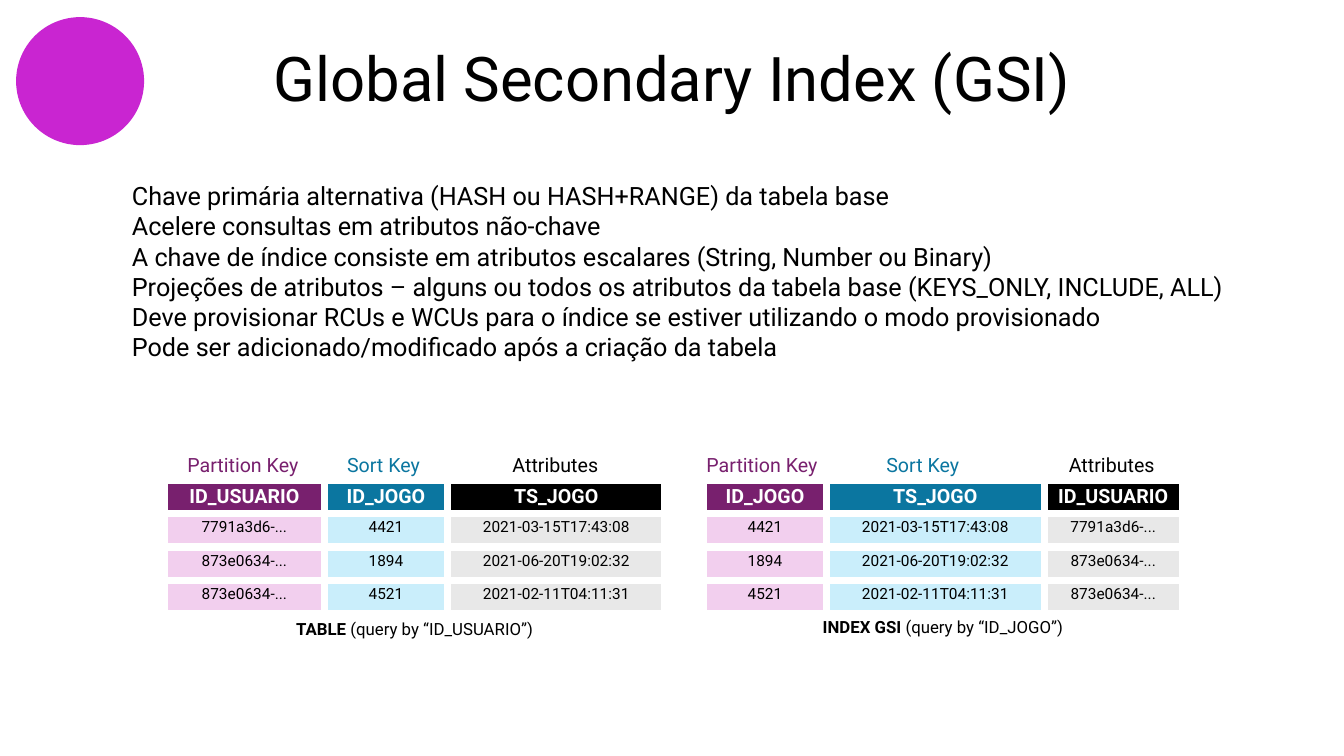
from dataclasses import dataclass

from lxml.etree import SubElement
from pptx import Presentation
from pptx.dml.color import RGBColor as Rgb
from pptx.enum.shapes import MSO_SHAPE as Shape
from pptx.enum.text import MSO_ANCHOR as Anchor
from pptx.enum.text import MSO_AUTO_SIZE as Fit
from pptx.enum.text import PP_ALIGN as Align
from pptx.oxml.ns import qn
from pptx.util import Inches, Pt


@dataclass(frozen=True)
class Theme:
    font: str = "Roboto"
    ink: str = "000000"
    paper: str = "FFFFFF"
    badge: str = "C925D1"
    heads: tuple = ("78206E", "0B76A0", "000000")
    tints: tuple = ("F2CFEE", "CAEEFB", "E8E8E8")
    title: int = 44
    body: int = 18
    label: int = 14
    note: int = 12
    cell: int = 11
    rule: int = 6


LOOK = Theme()

# The slide is a grid of 40 columns by 22.5 rows of square units
COLS, ROWS = 40, 22.5
WIDE, HIGH = Inches(40 / 3), Inches(7.5)

POINTS = (
    "Chave primária alternativa (HASH ou HASH+RANGE) da tabela base",
    "Acelere consultas em atributos não-chave",
    "A chave de índice consiste em atributos escalares (String, Number ou Binary)",
    "Projeções de atributos – alguns ou todos os atributos da tabela base "
    "(KEYS_ONLY, INCLUDE, ALL)",
    "Deve provisionar RCUs e WCUs para o índice se estiver utilizando o modo provisionado",
    "Pode ser adicionado/modificado após a criação da tabela",
)
ROLES = ("Partition Key", "Sort Key", "Attributes")

# Each field: column width, then its name and values
FIELDS = {
    "user": (("ID_USUARIO", "7791a3d6-...", "873e0634-...", "873e0634-..."), 4.77),
    "game": (("ID_JOGO", "4421", "1894", "4521"), 3.66),
    "time": (("TS_JOGO", "2021-03-15T17:43:08", "2021-06-20T19:02:32",
              "2021-02-11T04:11:31"), 6.48),
}


def place(x, y, w, h):
    """Turn grid units into slide lengths."""
    return (int(x * WIDE / COLS), int(y * HIGH / ROWS),
            int(w * WIDE / COLS), int(h * HIGH / ROWS))


def write(para, text, size, color=LOOK.ink, bold=False):
    run = para.add_run()
    run.text = text
    font = run.font
    font.name, font.size, font.bold = LOOK.font, Pt(size), bold
    font.color.rgb = Rgb.from_string(color)


def add_text(slide, box, lines, size, color=LOOK.ink, align=Align.CENTER):
    """Each line is a list of (text, bold) runs."""
    frame = slide.shapes.add_textbox(*place(*box)).text_frame
    frame.word_wrap = True
    frame.auto_size = Fit.SHAPE_TO_FIT_TEXT
    for i, line in enumerate(lines):
        para = frame.add_paragraph() if i else frame.paragraphs[0]
        para.alignment = align
        for text, bold in line:
            write(para, text, size, color, bold)
    return frame


def add_title(slide, text):
    frame = add_text(slide, (2.76, 0.24, 34.5, 4.35), [[(text, False)]], LOOK.title)
    frame.auto_size = Fit.NONE
    frame.vertical_anchor = Anchor.MIDDLE
    frame.paragraphs[0].line_spacing = 0.9


def add_badge(slide):
    disc = slide.shapes.add_shape(Shape.OVAL, *place(0.48, 0.51, 3.81, 3.81))
    disc.shadow.inherit = False
    disc.fill.solid()
    disc.fill.fore_color.rgb = Rgb.from_string(LOOK.badge)
    disc.line.fill.background()


def paint(cell, color):
    """Draw the white borders, then the fill."""
    props = cell._tc.get_or_add_tcPr()
    for side in ("a:lnL", "a:lnR", "a:lnT", "a:lnB"):
        line = SubElement(props, qn(side), w=str(Pt(LOOK.rule)))
        fill = SubElement(line, qn("a:solidFill"))
        SubElement(fill, qn("a:srgbClr"), val=LOOK.paper)
    cell.fill.solid()
    cell.fill.fore_color.rgb = Rgb.from_string(color)


def add_grid(slide, x, y, names, widths):
    fields = [FIELDS[name][0] for name in names]
    count = len(fields[0])
    box = place(x, y, sum(widths), count)
    table = slide.shapes.add_table(count, len(names), *box).table
    table.first_row = table.horz_banding = False
    for c, (field, width) in enumerate(zip(fields, widths)):
        table.columns[c].width = place(0, 0, width, 0)[2]
        for r, text in enumerate(field):
            cell, head = table.cell(r, c), r == 0
            paint(cell, (LOOK.heads if head else LOOK.tints)[c])
            para = cell.text_frame.paragraphs[0]
            para.alignment = Align.CENTER
            write(para, text, LOOK.label if head else LOOK.cell,
                  LOOK.paper if head else LOOK.ink, head)


def add_panel(slide, x, names, spans, note, foot, widths=None):
    """A table with role labels above and a caption below."""
    widths = widths or [FIELDS[name][1] for name in names]
    add_grid(slide, x, 14.28, names, widths)
    for role, color, (left, width) in zip(ROLES, LOOK.heads, spans):
        add_text(slide, (left, 13.32, width, 1.02), [[(role, False)]],
                 LOOK.label, color)
    add_text(slide, foot, [note], LOOK.note)


def main():
    deck = Presentation()
    deck.slide_width, deck.slide_height = WIDE, HIGH
    slide = deck.slides.add_slide(deck.slide_layouts[6])

    # Heading and key points
    add_title(slide, "Global Secondary Index (GSI)")
    add_badge(slide)
    add_text(slide, (3.63, 5.22, 33.63, 5.76),
             [[(point, False)] for point in POINTS], LOOK.body, align=Align.LEFT)

    # Base table
    add_panel(slide, 4.89, ("user", "game", "time"),
              ((5.1, 4.26), (9.93, 2.97), (13.5, 6.06)),
              [("TABLE", True), (" (query by “ID_USUARIO”)", False)],
              (5.1, 18.27, 14.49, 0.9))

    # Index, with a narrower user column
    add_panel(slide, 20.94, ("game", "time", "user"),
              ((20.55, 4.26), (25.98, 2.97), (31.29, 3.6)),
              [("INDEX GSI ", True), ("(query by “ID_JOGO”)", False)],
              (20.82, 18.21, 14.49, 0.9), (3.66, 6.48, 4.11))

    deck.save("out.pptx")


if __name__ == "__main__":
    main()
